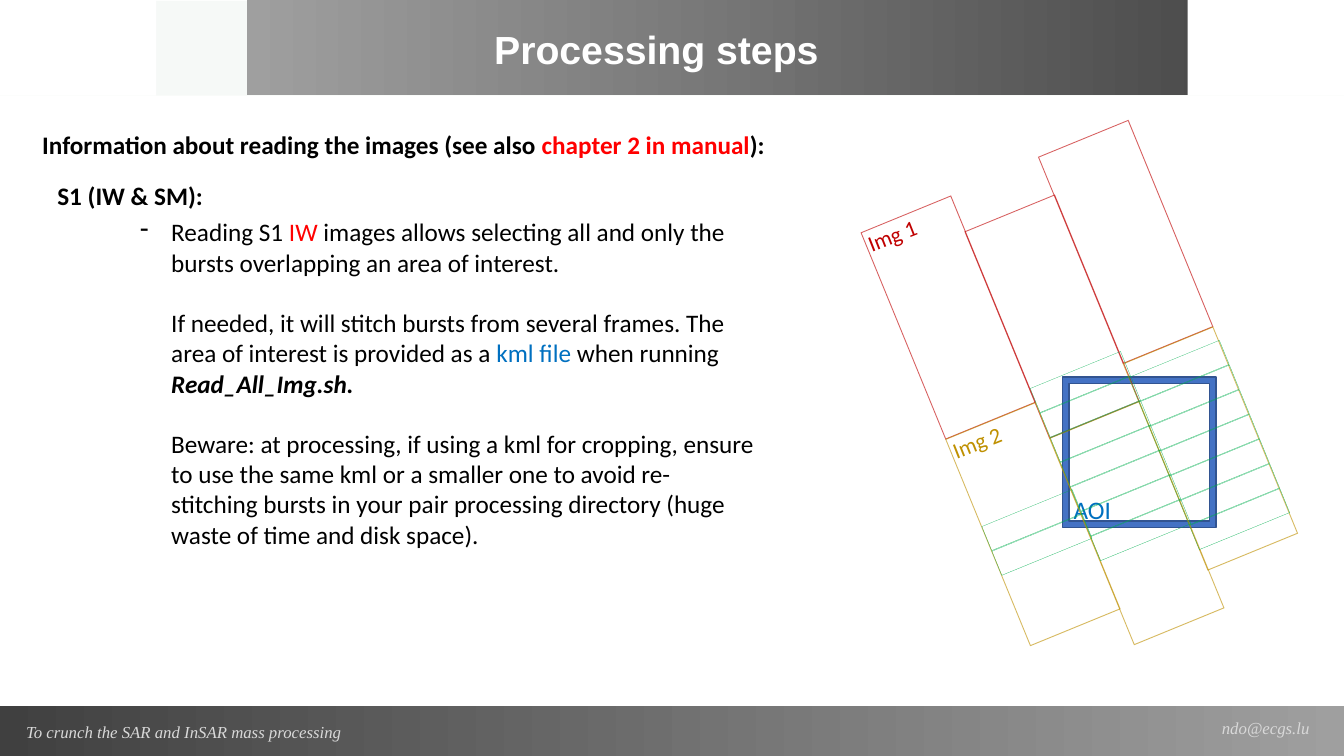
from dataclasses import dataclass

from lxml.etree import SubElement
from pptx import Presentation
from pptx.dml.color import RGBColor
from pptx.enum.shapes import MSO_SHAPE as Shape
from pptx.enum.text import MSO_ANCHOR as Anchor, PP_ALIGN as Align
from pptx.oxml.ns import qn
from pptx.util import Inches, Pt


@dataclass(frozen=True)
class Theme:
    white: str = "FFFFFF"
    pale: str = "F6F9F7"
    dark: str = "404040"
    mid: str = "9F9F9F"
    footer: str = "D9D9D9"
    black: str = "000000"
    red: str = "FF0000"
    link: str = "0070C0"
    first_image: str = "C00000"
    second_image: str = "BF9000"
    burst: str = "00B050"
    area: str = "4472C4"
    area_edge: str = "325491"
    title_size: int = 28
    body_size: int = 18
    label_size: int = 16
    footer_size: int = 12
    heading_font: str = "Arial"
    body_font: str = "Calibri"
    footer_font: str = "Times New Roman"


@dataclass(frozen=True)
class Box:
    left: float
    top: float
    width: float
    height: float

    def inside(self, left, top, width, height):
        return Box(self.left + left, self.top + top, width, height)

    def lengths(self):
        return [Inches(v) for v in (self.left, self.top, self.width, self.height)]


THEME = Theme()
TILT = 337.7
LABEL_TILT = 338.4


def add_block(page, box, kind=Shape.RECTANGLE, color=None):
    block = page.shapes.add_shape(kind, *box.lengths())
    block.shadow.inherit = False
    block.line.fill.background()
    if color:
        block.fill.solid()
        block.fill.fore_color.rgb = RGBColor.from_string(color)
    return block


def add_gradient(page, box, start, end):
    fill = add_block(page, box).fill
    fill.gradient()
    fill.gradient_angle = 0
    for stop, color, position in zip(fill.gradient_stops, (start, end), (0, 1)):
        stop.color.rgb = RGBColor.from_string(color)
        stop.position = position


def add_frame(page, box, thickness, color, opacity=100, tilt=0):
    frame = add_block(page, box, Shape.FRAME, color)
    frame.adjustments[0] = thickness
    frame.rotation = tilt
    if opacity < 100:
        tone = frame.element.spPr.find(".//" + qn("a:srgbClr"))
        SubElement(tone, qn("a:alpha"), val=str(opacity * 1000))
    return frame


def add_text(page, box, wrap=False, tilt=0):
    text_box = page.shapes.add_textbox(*box.lengths())
    text_box.rotation = tilt
    text_box.text_frame.word_wrap = wrap
    return text_box.text_frame


def add_span(para, text, color, size=THEME.body_size, font=THEME.body_font,
             bold=False, italic=False):
    span = para.add_run()
    span.text = text
    span.font.name = font
    span.font.size = Pt(size)
    span.font.bold = bold
    span.font.italic = italic
    span.font.color.rgb = RGBColor.from_string(color)


def add_header(page, box):
    add_block(page, box.inside(0, 0.01, box.width, 0.94), color=THEME.pale)
    add_gradient(page, box.inside(2.45, 0, 10.88, 0.94), THEME.mid, THEME.dark)
    for left in (0, box.width - 1.55):
        add_block(page, box.inside(left, 0, 1.55, box.height), color=THEME.white)
    title = add_text(page, box.inside(0.86, 0.07, 11.3, 0.83), wrap=True)
    title.vertical_anchor = Anchor.MIDDLE
    title.paragraphs[0].alignment = Align.CENTER
    add_span(title.paragraphs[0], "Processing steps", THEME.white,
             THEME.title_size, THEME.heading_font, bold=True)


def add_footer(page, box):
    add_gradient(page, box, THEME.dark, THEME.mid)
    for text, left, top, width in (
        ("To crunch the SAR and InSAR mass processing", 0.16, 0.11, 3.34),
        ("ndo@ecgs.lu", 12.02, 0.07, 1.08),
    ):
        frame = add_text(page, box.inside(left, top, width, 0.3))
        add_span(frame.paragraphs[0], text, THEME.footer, THEME.footer_size,
                 THEME.footer_font, italic=True)


def add_explanation(page, box):
    heading = add_text(page, box.inside(0, 0, 7.48, 0.4)).paragraphs[0]
    for text, color in (
        ("Information about reading the images (see also ", THEME.black),
        ("chapter 2 in manual", THEME.red),
        ("):", THEME.black),
    ):
        add_span(heading, text, color, bold=True)

    sensor = add_text(page, box.inside(0.15, 0.51, 1.72, 0.4)).paragraphs[0]
    add_span(sensor, "S1 (IW & SM):", THEME.black, bold=True)

    para = add_text(page, box.inside(0.97, 0.87, 6.29, 3.43), wrap=True).paragraphs[0]
    para.space_after = Pt(6)
    properties = para._p.get_or_add_pPr()
    properties.set("marL", str(Inches(0.31)))
    properties.set("indent", str(Inches(-0.31)))
    SubElement(properties, qn("a:buChar"), char="-")

    add_span(para, "Reading S1 ", THEME.black)
    add_span(para, "IW", THEME.red)
    add_span(para, " images allows selecting all and only the bursts overlapping "
             "an area of interest. ", THEME.black)
    add_gap(para)
    add_span(para, "If needed, it will stitch bursts from several frames. The area "
             "of interest is provided as a ", THEME.black)
    add_span(para, "kml file", THEME.link)
    add_span(para, " when running", THEME.black)
    add_span(para, " Read_All_Img.sh. ", THEME.black, bold=True, italic=True)
    add_gap(para)
    add_span(para, "Beware: at processing, if using a kml for cropping, ensure to use "
             "the same kml or a smaller one to avoid re-stitching bursts in your pair "
             "processing directory (huge waste of time and disk space).", THEME.black)


def add_gap(para):
    para.add_line_break()
    para.add_line_break()


def add_coverage(page, box):
    area = add_frame(page, box.inside(2.04, 2.54, 1.52, 1.49), 0.042, THEME.area)
    area.line.color.rgb = RGBColor.from_string(THEME.area_edge)
    area.line.width = Pt(1)
    label = add_text(page, box.inside(2.05, 3.65, 0.57, 0.4))
    add_span(label.paragraphs[0], "AOI", THEME.link)

    for name, color, right, down in (
        ("Img 1", THEME.first_image, 0, 0),
        ("Img 2", THEME.second_image, 0.84, 2.05),
    ):
        for left, top in ((0.42, 0.84), (1.45, 0.83), (2.18, 0.09)):
            swath = box.inside(left + right, top + down, 0.97, 2.22)
            add_frame(page, swath, 0.009, color, 62, TILT)
        label = add_text(page, box.inside(right, 0.95 + down, 0.71, 0.37), tilt=LABEL_TILT)
        add_span(label.paragraphs[0], name, color, THEME.label_size)

    for left, top, count in ((1.25, 3.83, 2), (1.73, 2.46, 7), (2.71, 2.35, 7)):
        for index in range(count):
            burst = box.inside(left + index * 0.1, top + index * 0.245, 0.97, 0.26)
            add_frame(page, burst, 0.009, THEME.burst, 95, TILT)


def main():
    deck = Presentation()
    deck.slide_width = Inches(13.33)
    deck.slide_height = Inches(7.5)
    page = deck.slides.add_slide(deck.slide_layouts[6])
    add_header(page, Box(0, 0, 13.33, 0.95))
    add_footer(page, Box(0, 7, 13.33, 0.5))
    add_explanation(page, Box(0.32, 1.23, 7.48, 4.3))
    add_coverage(page, Box(8.5, 1.2, 4.4, 5.2))
    deck.save("out.pptx")


if __name__ == "__main__":
    main()
